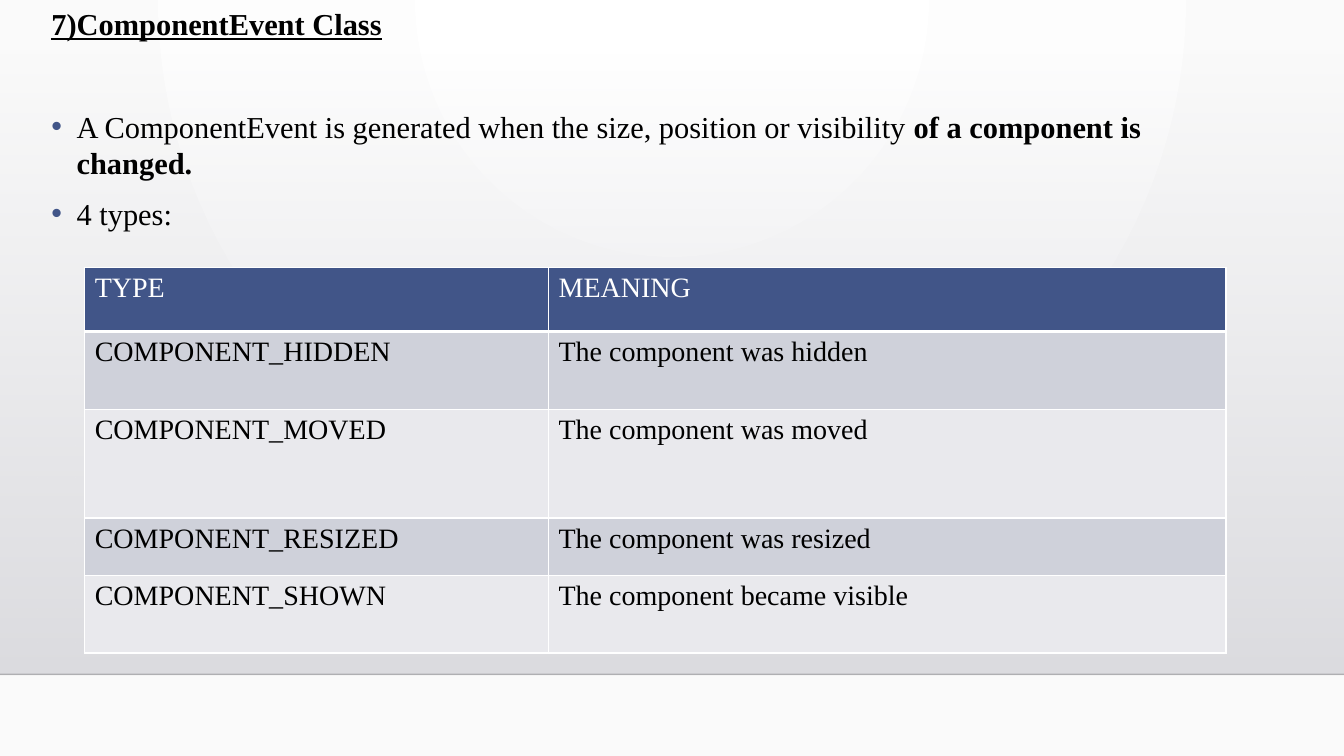
from dataclasses import dataclass

from lxml.etree import SubElement
from pptx import Presentation
from pptx.dml.color import RGBColor
from pptx.enum.shapes import MSO_CONNECTOR as Connector, MSO_SHAPE as Shape
from pptx.enum.text import MSO_ANCHOR as Anchor, MSO_AUTO_SIZE as AutoSize, PP_ALIGN as Align
from pptx.oxml import parse_xml
from pptx.oxml.ns import nsdecls, qn
from pptx.util import Inches, Pt

TITLE = "7)ComponentEvent Class"
BULLETS = [  # each bullet is a list of (text, bold)
    [("A ComponentEvent is generated when the size, position or visibility ", False),
     ("of a component is changed.", True)],
    [("4 types:", False)],
]
EVENT_TYPES = [
    ("TYPE", "MEANING"),
    ("COMPONENT_HIDDEN", "The component was hidden"),
    ("COMPONENT_MOVED", "The component was moved"),
    ("COMPONENT_RESIZED", "The component was resized"),
    ("COMPONENT_SHOWN", "The component became visible"),
]
COLUMN_WIDTHS = (4.6, 6.72)
ROW_HEIGHTS = (0.64, 0.77, 1.08, 0.57, 0.77)


@dataclass(frozen=True)
class Theme:
    font: str = "Times New Roman"
    text_size: float = 21.7
    table_size: float = 20
    ink: str = "000000"
    white: str = "FFFFFF"
    accent: str = "415588"
    bands: tuple = ("CFD1DA", "E9E9ED")
    backdrop: tuple = ("FFFFFF", "FAFAFA")
    panel: tuple = ("DCDCE0", "DEDEE2")
    rule: str = "000001"


THEME = Theme()
WIDTH, HEIGHT = 13.33, 7.5
TEXT_LEFT, TEXT_WIDTH = 0.41, 11.89
TITLE_HEIGHT, BODY_TOP, BODY_BOTTOM = 0.5, 1.02, 2.41
TABLE_LEFT, TABLE_TOP = 0.84, 2.65
PANEL_TOP, FLOOR = 0.51, 6.69
INDENT = 0.25


def gradient(stops, direction):
    """Gradient fill from (colour, opacity in percent) stops, spread evenly."""
    marks = "".join(
        f'<a:gs pos="{100000 * i // (len(stops) - 1)}"><a:srgbClr val="{colour}">'
        f'<a:alpha val="{opacity * 1000}"/></a:srgbClr></a:gs>'
        for i, (colour, opacity) in enumerate(stops))
    return parse_xml(f'<a:gradFill {nsdecls("a")} rotWithShape="1">'
                     f'<a:gsLst>{marks}</a:gsLst>{direction}</a:gradFill>')


def style(font, size, colour):
    font.name, font.size = THEME.font, Pt(size)
    font.color.rgb = RGBColor.from_string(colour)


def paint_background(slide):
    fill = slide.background.fill
    fill.solid()
    properties = slide.background._cSld.bg.bgPr
    solid = properties.find(qn("a:solidFill"))
    properties.replace(solid, gradient(
        [(colour, 100) for colour in THEME.backdrop],
        '<a:path path="circle"><a:fillToRect l="43000" t="0" r="43000" b="100000"/></a:path>'))


def add_panel(slide):
    """Shaded wall with a thin rule along its foot, behind everything else."""
    shapes = slide.shapes
    wall = shapes.add_shape(Shape.RECTANGLE, 0, Inches(PANEL_TOP),
                            Inches(WIDTH), Inches(FLOOR - PANEL_TOP))
    wall.shadow.inherit = False
    wall.line.fill.background()
    wall.fill.solid()
    properties = wall._element.spPr
    properties.replace(properties.find(qn("a:solidFill")), gradient(
        list(zip(THEME.panel, (0, 100))), '<a:lin ang="5400000" scaled="0"/>'))

    rule = shapes.add_connector(Connector.STRAIGHT, 0, Inches(FLOOR),
                                Inches(WIDTH), Inches(FLOOR))
    rule.line.width = Pt(1)
    rule.line.color.rgb = RGBColor.from_string(THEME.rule)
    colour = rule._element.spPr.find(".//" + qn("a:srgbClr"))
    SubElement(colour, qn("a:alpha"), val="20000")
    SubElement(rule._element.spPr, qn("a:effectLst"))
    for position, part in enumerate((wall, rule), start=2):
        shapes._spTree.insert(position, part._element)


def place(holder, top, height):
    holder.left, holder.top = Inches(TEXT_LEFT), Inches(top)
    holder.width, holder.height = Inches(TEXT_WIDTH), Inches(height)
    frame = holder.text_frame
    frame.word_wrap, frame.auto_size = True, AutoSize.NONE
    frame.vertical_anchor = Anchor.TOP
    return frame


def fill_title(slide):
    heading = place(slide.shapes.title, 0, TITLE_HEIGHT).paragraphs[0]
    heading.text = TITLE
    heading.alignment = Align.LEFT
    style(heading.font, THEME.text_size, THEME.ink)
    heading.font.bold = heading.font.underline = True


def fill_bullets(slide):
    frame = place(slide.placeholders[1], BODY_TOP, BODY_BOTTOM - BODY_TOP)
    for i, pieces in enumerate(BULLETS):
        bullet = frame.add_paragraph() if i else frame.paragraphs[0]
        properties = bullet._p.get_or_add_pPr()
        properties.set("marL", str(Inches(INDENT)))
        properties.set("indent", str(-Inches(INDENT)))
        SubElement(SubElement(properties, qn("a:buClr")), qn("a:srgbClr"), val=THEME.accent)
        SubElement(properties, qn("a:buChar"), char="•")
        bullet.space_before = Pt(10 if i else 0)
        style(bullet.font, THEME.text_size, THEME.ink)
        for text, bold in pieces:
            run = bullet.add_run()
            run.text, run.font.bold = text, bold


def add_borders(cell, is_header):
    properties = cell._tc.get_or_add_tcPr()
    for position, side in enumerate(("lnL", "lnR", "lnT", "lnB")):
        width = Pt(3 if is_header and side == "lnB" else 1)
        properties.insert(position, parse_xml(
            f'<a:{side} {nsdecls("a")} w="{width}"><a:solidFill>'
            f'<a:srgbClr val="{THEME.white}"/></a:solidFill></a:{side}>'))


def add_event_table(slide):
    table = slide.shapes.add_table(
        len(ROW_HEIGHTS), len(COLUMN_WIDTHS), Inches(TABLE_LEFT), Inches(TABLE_TOP),
        Inches(sum(COLUMN_WIDTHS)), Inches(sum(ROW_HEIGHTS))).table
    for column, width in zip(table.columns, COLUMN_WIDTHS):
        column.width = Inches(width)
    for r, (row, height, texts) in enumerate(zip(table.rows, ROW_HEIGHTS, EVENT_TYPES)):
        row.height = Inches(height)
        is_header = r == 0
        band = THEME.accent if is_header else THEME.bands[(r - 1) % 2]
        for cell, text in zip(row.cells, texts):
            cell.fill.solid()
            cell.fill.fore_color.rgb = RGBColor.from_string(band)
            add_borders(cell, is_header)
            entry = cell.text_frame.paragraphs[0]
            entry.text = text
            style(entry.font, THEME.table_size, THEME.white if is_header else THEME.ink)
            entry.font.bold = False


def main():
    deck = Presentation()
    deck.slide_width, deck.slide_height = Inches(WIDTH), Inches(HEIGHT)
    slide = deck.slides.add_slide(deck.slide_layouts[1])
    paint_background(slide)
    add_panel(slide)
    fill_title(slide)
    fill_bullets(slide)
    add_event_table(slide)
    deck.save("out.pptx")


if __name__ == "__main__":
    main()
